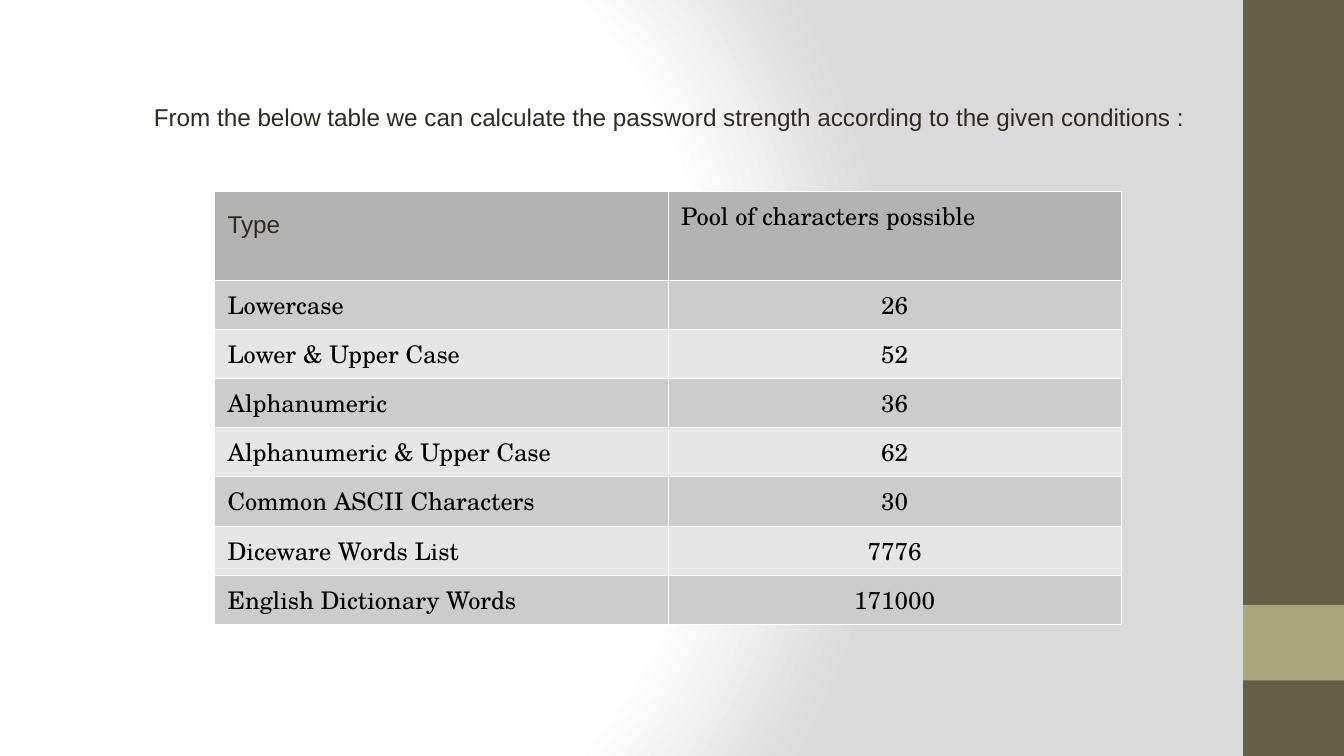
from dataclasses import dataclass

from pptx import Presentation
from pptx.dml.color import RGBColor
from pptx.enum.shapes import MSO_SHAPE
from pptx.enum.text import MSO_ANCHOR, PP_ALIGN
from pptx.oxml import parse_xml
from pptx.oxml.ns import nsdecls
from pptx.util import Pt


@dataclass(frozen=True)
class Theme:
    white: str = "FFFFFF"
    shade: str = "DADADA"
    bar: str = "675E47"
    accent: str = "A9A57C"
    ink: str = "2F2B20"
    black: str = "000000"
    header: str = "B3B3B3"
    bands: tuple = ("CCCCCC", "E6E6E6")
    sans: str = "Arial"
    serif: str = "TeX Gyre Schola"
    size: float = 13
    border: float = 0.06


THEME = Theme()
ROWS = [
    ("Type", "Pool of characters possible"),
    ("Lowercase", "26"),
    ("Lower & Upper Case", "52"),
    ("Alphanumeric", "36"),
    ("Alphanumeric & Upper Case", "62"),
    ("Common ASCII Characters", "30"),
    ("Diceware Words List", "7776"),
    ("English Dictionary Words", "171000"),
]


def paint_background(page):
    stops = ((0, THEME.white), (75, THEME.white), (100, THEME.shade))
    stop_xml = "".join(
        f'<a:gs pos="{place * 1000}"><a:srgbClr val="{color}"/></a:gs>'
        for place, color in stops
    )
    page.element.cSld.insert(0, parse_xml(
        f'<p:bg {nsdecls("p", "a")}><p:bgPr><a:gradFill rotWithShape="1">'
        f'<a:gsLst>{stop_xml}</a:gsLst><a:path path="circle">'
        '<a:fillToRect l="20000" t="50000" r="100000" b="50000"/></a:path>'
        '</a:gradFill><a:effectLst/></p:bgPr></p:bg>'
    ))


def add_block(page, left, top, width, height, color):
    block = page.shapes.add_shape(
        MSO_SHAPE.RECTANGLE, Pt(left), Pt(top), Pt(width), Pt(height))
    block.shadow.inherit = False
    block.fill.solid()
    block.fill.fore_color.rgb = RGBColor.from_string(color)
    block.line.fill.background()


def add_sidebar(page, left, top, width, height):
    add_block(page, left, top, width, height, THEME.bar)
    add_block(page, left, top + height * 0.8, width, height * 0.1, THEME.accent)


def style_paragraph(para, font, color, align, spacing=None):
    para.font.name = font
    para.font.size = Pt(THEME.size)
    para.font.bold = False
    para.font.color.rgb = RGBColor.from_string(color)
    para.alignment = align
    para.line_spacing = spacing


def add_intro(page, left, top, width, height):
    box = page.shapes.add_textbox(Pt(left), Pt(top), Pt(width), Pt(height))
    frame = box.text_frame
    frame.word_wrap = True
    frame.vertical_anchor = MSO_ANCHOR.MIDDLE
    frame.margin_left = Pt(46.5)
    frame.margin_top = frame.margin_right = frame.margin_bottom = 0
    para = frame.paragraphs[0]
    para.text = ("From the below table we can calculate the password strength "
                 "according to the given conditions :")
    style_paragraph(para, THEME.sans, THEME.ink, PP_ALIGN.JUSTIFY, 1.5)


def style_cell(cell, color):
    cell.fill.solid()
    cell.fill.fore_color.rgb = RGBColor.from_string(color)
    properties = cell._tc.get_or_add_tcPr()
    for index, side in enumerate(("lnL", "lnR", "lnT", "lnB")):
        properties.insert(index, parse_xml(
            f'<a:{side} {nsdecls("a")} w="{Pt(THEME.border)}"><a:solidFill>'
            f'<a:srgbClr val="{THEME.white}"/></a:solidFill></a:{side}>'
        ))


def add_pool_table(page, left, top, width, height, header_height):
    table = page.shapes.add_table(
        len(ROWS), 2, Pt(left), Pt(top), Pt(width), Pt(height)).table
    row_height = (height - header_height) / (len(ROWS) - 1)
    for row, values in enumerate(ROWS):
        table.rows[row].height = Pt(row_height if row else header_height)
        for column, value in enumerate(values):
            cell = table.cell(row, column)
            style_cell(cell, THEME.bands[(row - 1) % 2] if row else THEME.header)
            para = cell.text_frame.paragraphs[0]
            para.text = value
            if row == column == 0:
                style_paragraph(para, THEME.sans, THEME.ink, PP_ALIGN.JUSTIFY, 1.5)
            else:
                align = PP_ALIGN.CENTER if row and column else PP_ALIGN.LEFT
                style_paragraph(para, THEME.serif, THEME.black, align)


def main():
    deck = Presentation()
    deck.slide_width, deck.slide_height = Pt(720), Pt(405)
    page = deck.slides.add_slide(deck.slide_layouts[6])
    paint_background(page)
    add_sidebar(page, 666, 0, 54, 405)
    add_intro(page, 36, 16, 648, 85.5)
    add_pool_table(page, 114.75, 102.5, 486, 232, 47.5)
    deck.save("out.pptx")


if __name__ == "__main__":
    main()
